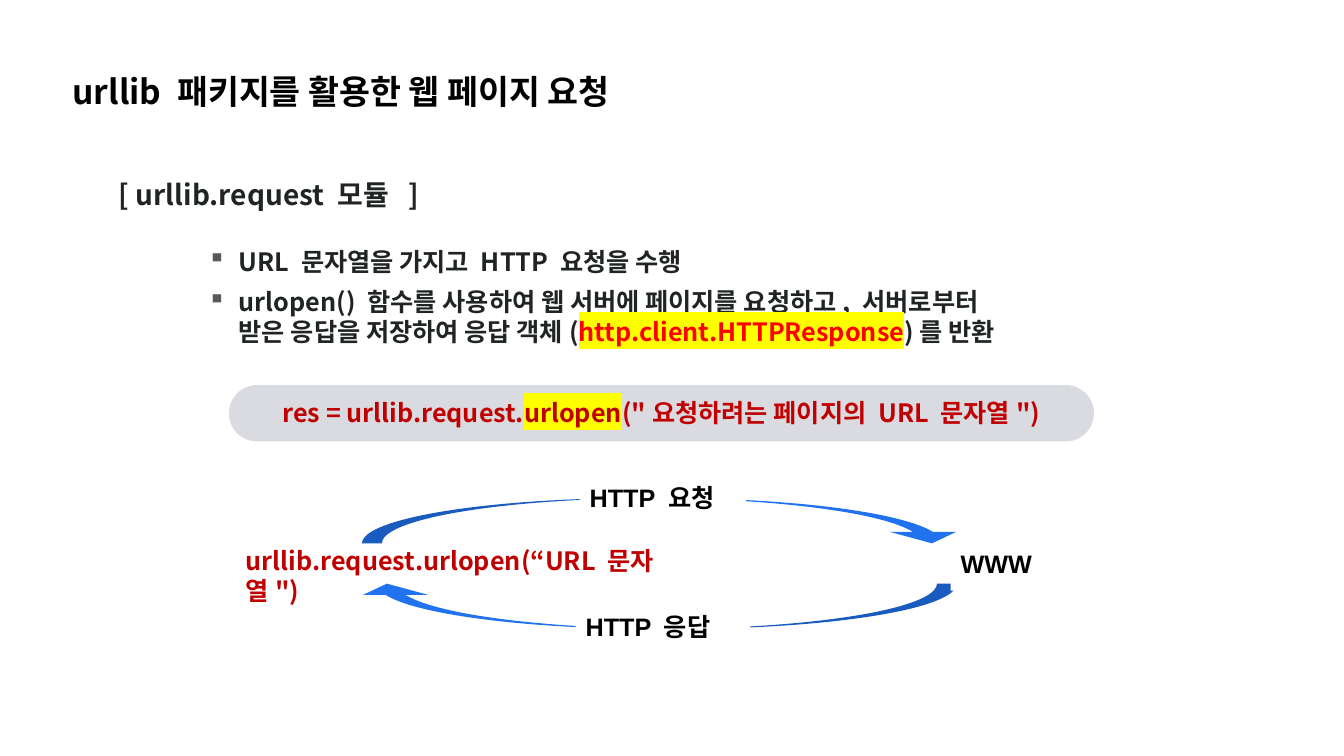
from lxml.etree import SubElement
from pptx import Presentation
from pptx.dml.color import RGBColor
from pptx.enum.shapes import MSO_SHAPE
from pptx.enum.text import MSO_ANCHOR, MSO_AUTO_SIZE, PP_ALIGN
from pptx.oxml.ns import qn
from pptx.util import Inches, Pt

THEME = {
    "body_font": "Noto Sans CJK KR", "label_font": "Arial",
    "title_size": 24, "heading_size": 20, "body_size": 18,
    "black": "000000", "ink": "202522", "code": "C00000", "alert": "FF0000",
    "marker": "FFFF00", "bullet": "595959", "panel": "DADBE0",
    "arrow": "2072EF", "white": "FFFFFF",
}

deck = Presentation()
deck.slide_width, deck.slide_height = Inches(13.33), Inches(7.5)
slide = deck.slides.add_slide(deck.slide_layouts[6])


def add_block(preset, place, fill):
    block = slide.shapes.add_shape(preset, *map(Inches, place))
    block.shadow.inherit = False
    block.fill.solid()
    block.fill.fore_color.rgb = RGBColor.from_string(THEME[fill])
    block.line.fill.background()
    return block


def write(holder, lines, size, color, font="body_font", bullets=False,
          align=PP_ALIGN.LEFT, wrap=True):
    frame = holder.text_frame
    frame.word_wrap = wrap
    frame.auto_size = MSO_AUTO_SIZE.SHAPE_TO_FIT_TEXT
    frame.vertical_anchor = MSO_ANCHOR.TOP
    for index, pieces in enumerate(lines):
        paragraph = frame.add_paragraph() if index else frame.paragraphs[0]
        paragraph.alignment = align
        if index:
            paragraph.space_before = Pt(7)
        if bullets:
            properties = paragraph._p.get_or_add_pPr()
            properties.set("marL", str(Inches(0.31)))
            properties.set("indent", str(-Inches(0.31)))
            bullet_color = SubElement(properties, qn("a:buClr"))
            SubElement(bullet_color, qn("a:srgbClr"), val=THEME["bullet"])
            SubElement(properties, qn("a:buChar"), char="▪")
        paragraph.font.size = Pt(THEME[size])
        paragraph.font.bold = True
        paragraph.font.name = THEME[font]
        SubElement(paragraph.font._element, qn("a:ea"), typeface=THEME["body_font"])
        for text, run_color, marked in pieces:
            run = paragraph.add_run()
            run.text = text
            run.font.color.rgb = RGBColor.from_string(THEME[run_color or color])
            if marked:
                highlight = SubElement(run.font._element, qn("a:highlight"))
                SubElement(highlight, qn("a:srgbClr"), val=THEME["marker"])


explanation = [
    [("URL 문자열을 가지고 HTTP 요청을 수행", None, False)],
    [("urlopen() 함수를 사용하여 웹 서버에 페이지를 요청하고, 서버로부터 받은 응답을 저장하여 응답 객체(", None, False),
     ("http.client.HTTPResponse", "alert", True),
     (")를 반환", None, False)],
]
explanation_box = slide.shapes.add_textbox(*map(Inches, (1.96, 2.39, 8.31, 1.11)))
write(explanation_box, explanation, "body_size", "ink", bullets=True)

code_panel = add_block(MSO_SHAPE.ROUNDED_RECTANGLE, (2.27, 3.82, 8.58, 0.56), "panel")
code_panel.adjustments[0] = 0.5
code_line = [[("res = urllib.request.", None, False),
              ("urlopen", None, True),
              ("(\"요청하려는 페이지의 URL 문자열\")", None, False)]]
code_box = slide.shapes.add_textbox(*map(Inches, (2.67, 3.89, 7.78, 0.4)))
write(code_box, code_line, "body_size", "code", align=PP_ALIGN.CENTER)

for place, turn in [((3.59, 4.94, 5.98, 0.45), 0), ((3.51, 5.79, 5.98, 0.45), 180)]:
    flow_arrow = add_block(MSO_SHAPE.CURVED_DOWN_ARROW, place, "arrow")
    flow_arrow.rotation = turn
    for position, value in enumerate((0.44, 1.45, 0.25)):
        flow_arrow.adjustments[position] = value

for label, place in [
    ("WWW", (9.43, 5.39, 1.47, 0.47)),
    ("HTTP 요청", (5.75, 4.74, 1.65, 0.4)),
    ("HTTP 응답", (5.71, 6.02, 1.73, 0.4)),
]:
    flow_label = add_block(MSO_SHAPE.RECTANGLE, place, "white")
    write(flow_label, [[(label, None, False)]], "body_size", "black", "label_font")

for text, place, size, color, wrap in [
    ("urllib.request.urlopen(“URL 문자열\")", (2.34, 5.36, 4.71, 0.4), "body_size", "code", True),
    ("[ urllib.request 모듈  ]", (1.08, 1.71, 8.82, 0.44), "heading_size", "ink", True),
    ("urllib 패키지를 활용한 웹 페이지 요청", (0.62, 0.65, 6.43, 0.5), "title_size", "black", False),
]:
    text_box = slide.shapes.add_textbox(*map(Inches, place))
    write(text_box, [[(text, None, False)]], size, color, wrap=wrap)

deck.save("out.pptx")
